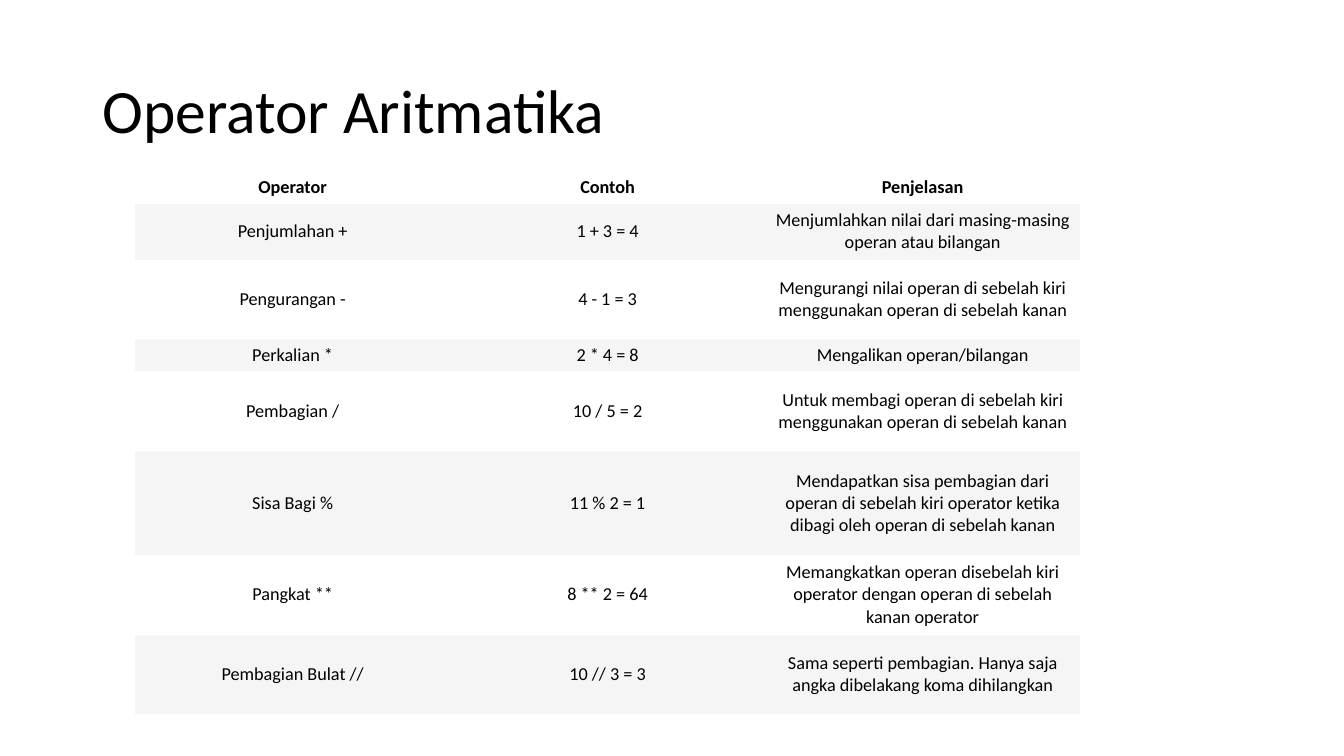
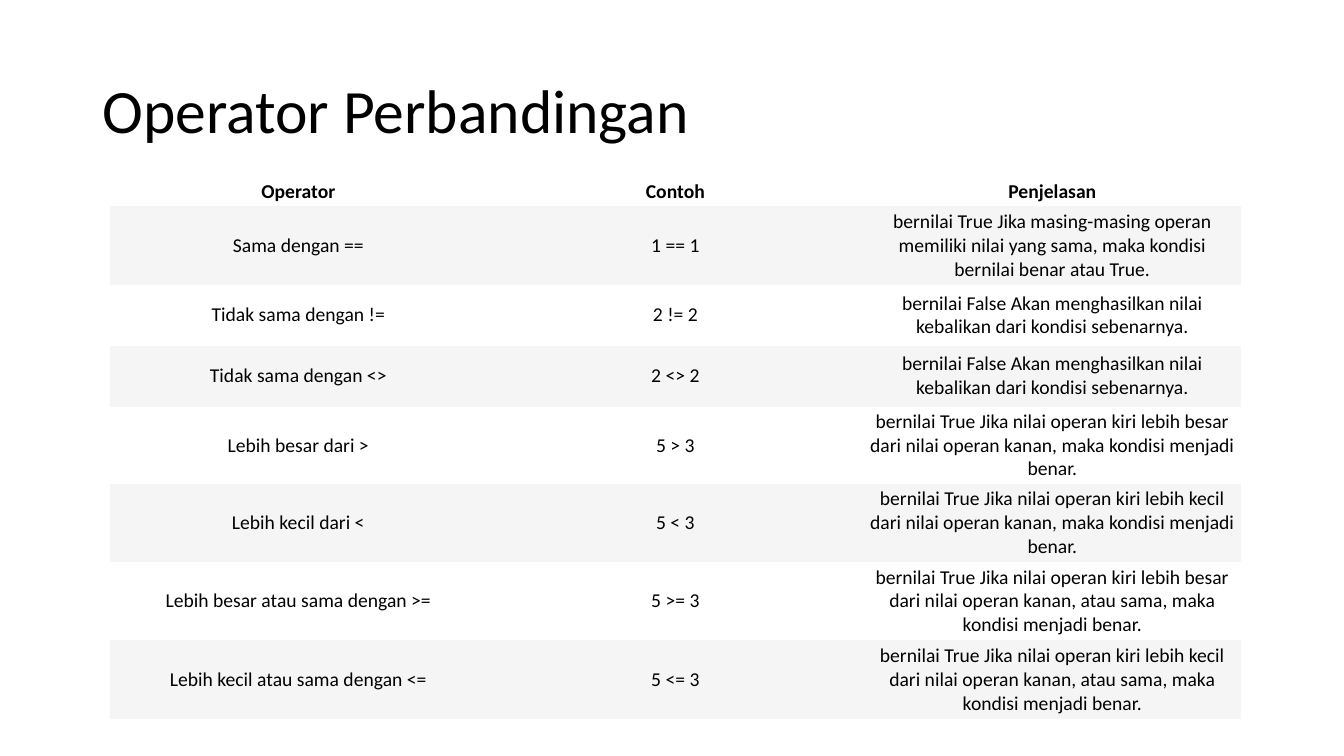
from dataclasses import dataclass

from pptx import Presentation
from pptx.dml.color import RGBColor
from pptx.enum.text import MSO_ANCHOR, MSO_AUTO_SIZE, PP_ALIGN
from pptx.oxml.ns import qn
from pptx.util import Pt


@dataclass(frozen=True)
class Theme:
    font: str = "Calibri"
    ink: RGBColor = RGBColor(0x00, 0x00, 0x00)
    paper: RGBColor = RGBColor(0xFF, 0xFF, 0xFF)
    band: RGBColor = RGBColor(0xF5, 0xF5, 0xF5)
    title_size: int = 44
    arithmetic_size: int = 13
    comparison_size: int = 14
    plain_table: str = "{2D5ABB26-0587-4C30-8999-92F81FD0307C}"


class Slides:
    """Holds the deck, its theme and the current slide."""

    def __init__(self, theme):
        self.theme = theme
        self.deck = Presentation()
        self.deck.slide_width, self.deck.slide_height = Pt(960), Pt(540)
        self.page = None

    def add_page(self, title):
        self.page = self.deck.slides.add_slide(self.deck.slide_layouts[5])
        box = self.page.shapes.title
        box.left, box.top, box.width, box.height = Pt(66), Pt(28.75), Pt(828), Pt(104.4)
        frame = box.text_frame
        frame.text = title
        frame.auto_size = MSO_AUTO_SIZE.NONE
        frame.word_wrap = True
        frame.vertical_anchor = MSO_ANCHOR.MIDDLE
        para = frame.paragraphs[0]
        para.line_spacing = 0.9
        self.style(para, self.theme.title_size, PP_ALIGN.LEFT)

    def style(self, para, size, align, bold=False):
        para.alignment = align
        for span in para.runs:
            span.font.name = self.theme.font
            span.font.size = Pt(size)
            span.font.bold = bold
            span.font.color.rgb = self.theme.ink

    def add_table(self, rows, left, top, column_width, heights, size, inset):
        columns = len(rows[0])
        frame = self.page.shapes.add_table(
            len(rows), columns, Pt(left), Pt(top),
            Pt(column_width * columns), Pt(sum(heights)))
        frame.element.find(".//" + qn("a:tableStyleId")).text = self.theme.plain_table
        table = frame.table
        for column in table.columns:
            column.width = Pt(column_width)
        for index, (texts, height) in enumerate(zip(rows, heights)):
            table.rows[index].height = Pt(height)
            for cell, text in zip(table.rows[index].cells, texts):
                self.fill_cell(cell, text, index, size, inset)

    def fill_cell(self, cell, text, row, size, inset):
        cell.text_frame.text = text
        cell.vertical_anchor = MSO_ANCHOR.MIDDLE
        cell.margin_left = cell.margin_right = Pt(inset)
        cell.margin_top = cell.margin_bottom = Pt(inset / 2)
        cell.fill.solid()
        cell.fill.fore_color.rgb = self.theme.band if row % 2 else self.theme.paper
        self.style(cell.text_frame.paragraphs[0], size, PP_ALIGN.CENTER, bold=row == 0)


# Table contents
HEADER = ("Operator", "Contoh", "Penjelasan")

ARITHMETIC = [
    HEADER,
    ("Penjumlahan +", "1 + 3 = 4",
     "Menjumlahkan nilai dari masing-masing operan atau bilangan"),
    ("Pengurangan -", "4 - 1 = 3",
     "Mengurangi nilai operan di sebelah kiri menggunakan operan di sebelah kanan"),
    ("Perkalian *", "2 * 4 = 8", "Mengalikan operan/bilangan"),
    ("Pembagian /", "10 / 5 = 2",
     "Untuk membagi operan di sebelah kiri menggunakan operan di sebelah kanan"),
    ("Sisa Bagi %", "11 % 2 = 1",
     "Mendapatkan sisa pembagian dari operan di sebelah kiri operator ketika "
     "dibagi oleh operan di sebelah kanan"),
    ("Pangkat **", "8 ** 2 = 64",
     "Memangkatkan operan disebelah kiri operator dengan operan di sebelah "
     "kanan operator"),
    ("Pembagian Bulat //", "10 // 3 = 3",
     "Sama seperti pembagian. Hanya saja angka dibelakang koma dihilangkan"),
]

NEGATION = "bernilai False Akan menghasilkan nilai kebalikan dari kondisi sebenarnya."
ORDERING = ("bernilai True Jika nilai operan kiri lebih {} dari nilai operan kanan, "
            "{}maka kondisi menjadi benar.")

COMPARISON = [
    HEADER,
    ("Sama dengan ==", "1 == 1",
     "bernilai True Jika masing-masing operan memiliki nilai yang sama, maka "
     "kondisi bernilai benar atau True."),
    ("Tidak sama dengan !=", "2 != 2", NEGATION),
    ("Tidak sama dengan <>", "2 <> 2", NEGATION),
    ("Lebih besar dari >", "5 > 3", ORDERING.format("besar", "")),
    ("Lebih kecil dari <", "5 < 3", ORDERING.format("kecil", "")),
    ("Lebih besar atau sama dengan >=", "5 >= 3",
     ORDERING.format("besar", "atau sama, ")),
    ("Lebih kecil atau sama dengan <=", "5 <= 3",
     ORDERING.format("kecil", "atau sama, ")),
]


def main():
    theme = Theme()
    slides = Slides(theme)

    # Arithmetic operators
    slides.add_page("Operator Aritmatika")
    slides.add_table(ARITHMETIC, left=96.5, top=122.4, column_width=225,
                     heights=[23, 40, 57, 23, 57, 74, 57, 57],
                     size=theme.arithmetic_size, inset=5)

    # Comparison operators
    slides.add_page("Operator Perbandingan")
    slides.add_table(COMPARISON, left=78.5, top=126, column_width=269.3,
                     heights=[21, 56, 43.5, 43.5, 55, 55, 56, 56],
                     size=theme.comparison_size, inset=4.4)

    slides.deck.save("out.pptx")


if __name__ == "__main__":
    main()
